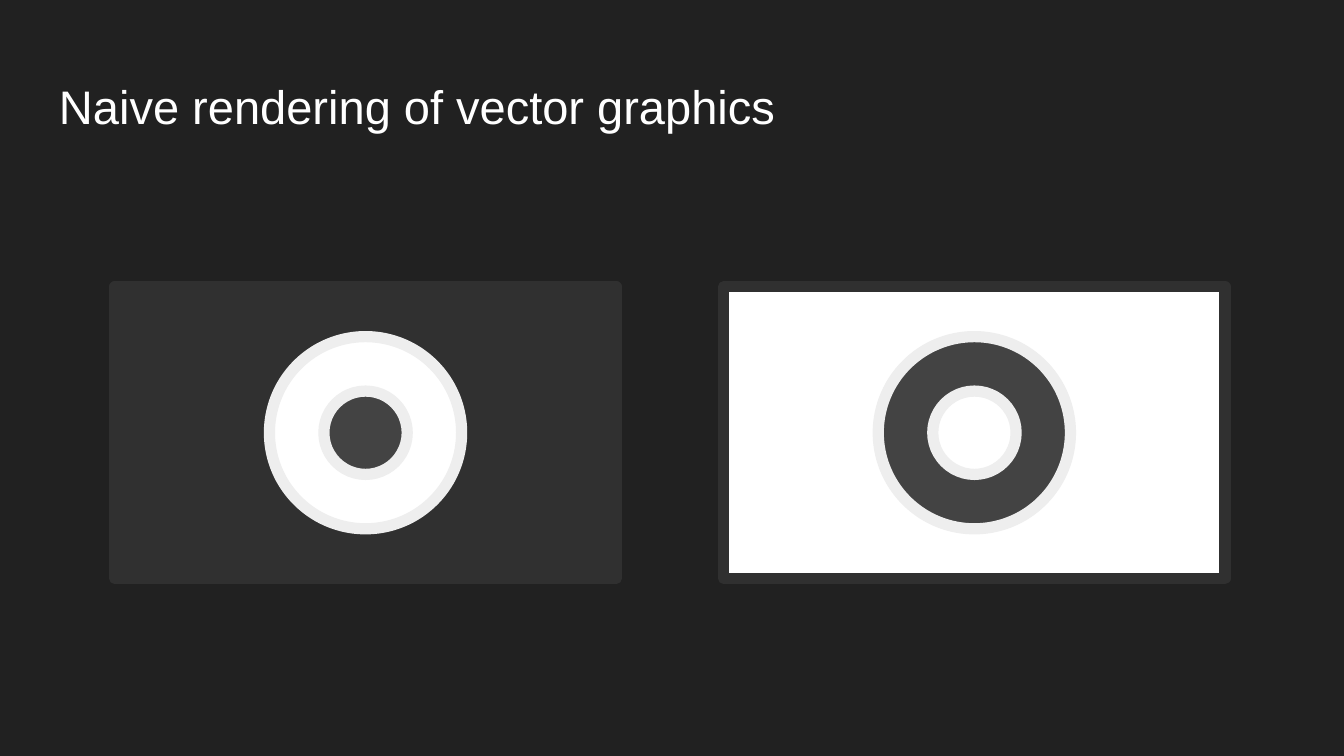
from pptx import Presentation
from pptx.dml.color import RGBColor
from pptx.enum.shapes import MSO_SHAPE as Shape
from pptx.enum.text import MSO_ANCHOR as Anchor
from pptx.util import Inches, Pt

# Widescreen slide, 16:9
WIDTH = 10
HEIGHT = WIDTH * 9 / 16

BACKGROUND = RGBColor(0x21, 0x21, 0x21)
FRAME = RGBColor(0x30, 0x30, 0x30)
DARK = RGBColor(0x43, 0x43, 0x43)
RIM = RGBColor(0xEE, 0xEE, 0xEE)
WHITE = RGBColor(0xFF, 0xFF, 0xFF)

# Two columns of concentric figures share one centre line
FIRST_CENTER, COLUMN_STEP = 2.72, 4.53
CENTER_Y = 3.22
PANEL_SIZE = (3.73, 2.17)
DISC, HOLE = 1.43, 0.62


def add_title(slide, text):
    margin = 0.34
    box = slide.shapes.add_textbox(
        Inches(margin), Inches(0.48), Inches(WIDTH - 2 * margin), Inches(0.63))
    frame = box.text_frame
    frame.word_wrap = True
    frame.vertical_anchor = Anchor.TOP
    frame.margin_left = frame.margin_right = Inches(0.1)
    frame.margin_top = frame.margin_bottom = Inches(0.1)
    run = frame.paragraphs[0].add_run()
    run.text = text
    run.font.name = "Arial"
    run.font.size = Pt(25.2)
    run.font.color.rgb = WHITE


def add_centered(slide, kind, center_x, width, height, fill, outline):
    shape = slide.shapes.add_shape(
        kind, Inches(center_x - width / 2), Inches(CENTER_Y - height / 2),
        Inches(width), Inches(height))
    shape.shadow.inherit = False
    shape.fill.solid()
    shape.fill.fore_color.rgb = fill
    shape.line.color.rgb = outline
    shape.line.width = Pt(6)


def add_ring_panel(slide, column, panel_fill, disc_fill, hole_fill):
    center_x = FIRST_CENTER + column * COLUMN_STEP
    add_centered(slide, Shape.RECTANGLE, center_x, *PANEL_SIZE, panel_fill, FRAME)
    for diameter, fill in ((DISC, disc_fill), (HOLE, hole_fill)):
        add_centered(slide, Shape.OVAL, center_x, diameter, diameter, fill, RIM)


def main():
    presentation = Presentation()
    presentation.slide_width = Inches(WIDTH)
    presentation.slide_height = Inches(HEIGHT)
    slide = presentation.slides.add_slide(presentation.slide_layouts[6])
    slide.background.fill.solid()
    slide.background.fill.fore_color.rgb = BACKGROUND

    add_title(slide, "Naive rendering of vector graphics")

    # Panel, disc and hole colours for each column
    panels = ((FRAME, WHITE, DARK), (WHITE, DARK, WHITE))
    for column, fills in enumerate(panels):
        add_ring_panel(slide, column, *fills)

    presentation.save("out.pptx")


if __name__ == "__main__":
    main()
